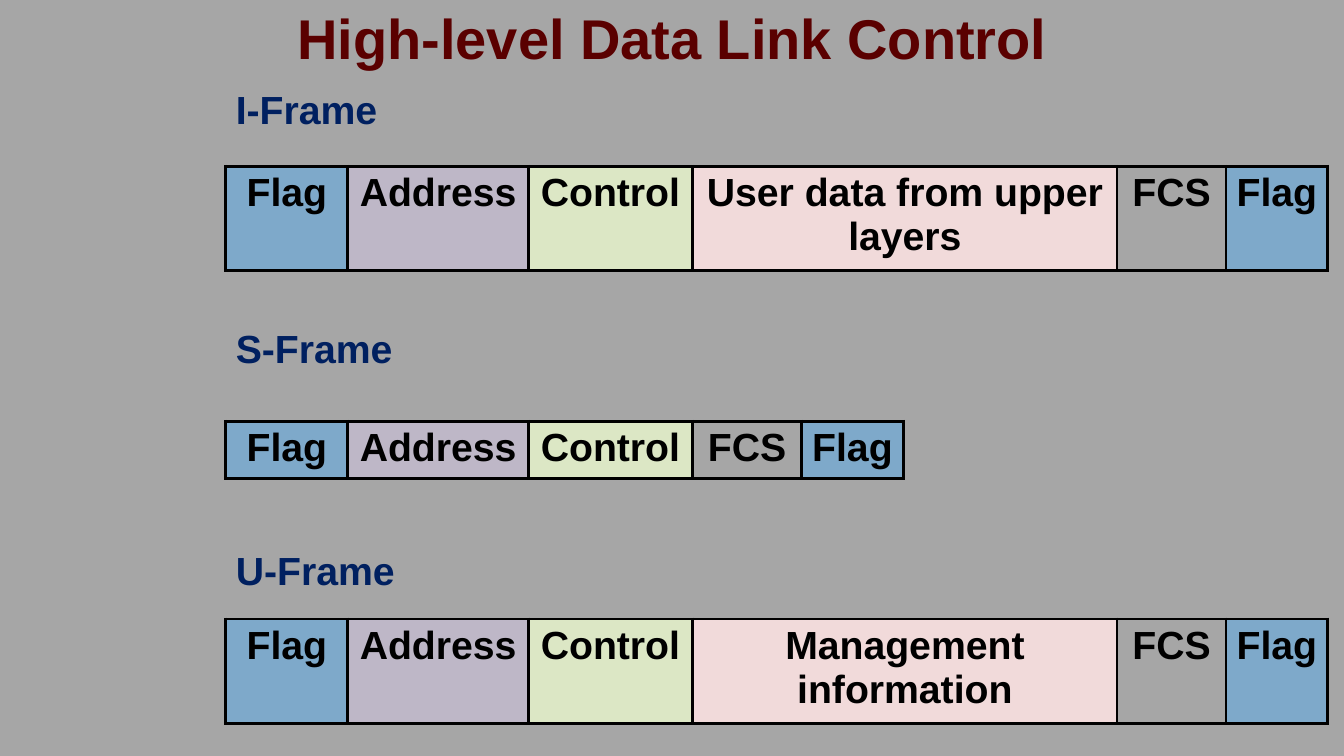
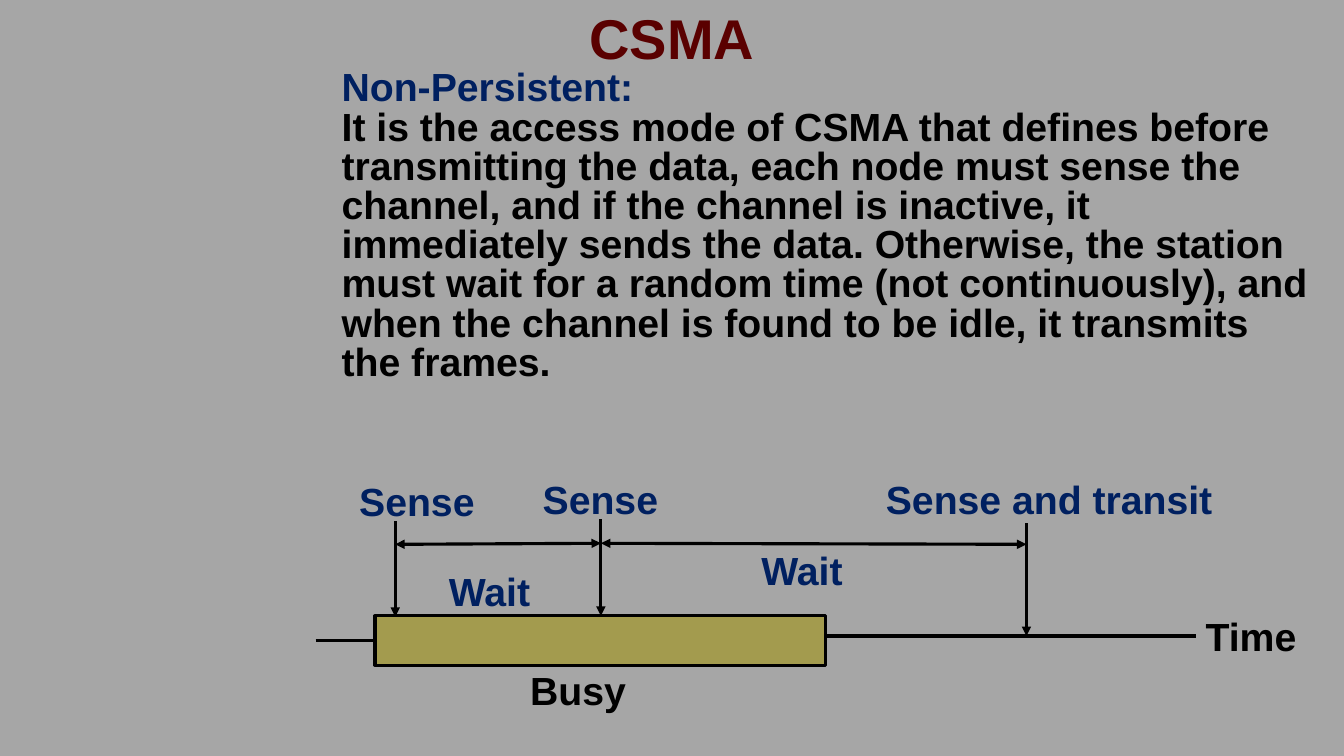
from pptx import Presentation
from pptx import util as u
from pptx.dml import color
from pptx.enum import shapes, text
from pptx.oxml import ns, xmlchemy
from lxml import etree

RGB = color.RGBColor
GREY = RGB(0xA6, 0xA6, 0xA6)
MAROON = RGB(0x5A, 0x00, 0x00)
NAVY = RGB(0x00, 0x20, 0x60)
BLACK = RGB(0x00, 0x00, 0x00)
BLUE = RGB(0x7E, 0xA9, 0xCA)
MAUVE = RGB(0xBE, 0xB7, 0xC7)
GREEN = RGB(0xDC, 0xE7, 0xC5)
PINK = RGB(0xF1, 0xDA, 0xDA)
OLIVE = RGB(0xA3, 0x9B, 0x4E)

FONT = "Arial"
SIZE = 28
STROKE = u.Pt(2.25)
WIDE, HIGH = 1333, 750
LEFT, MID = text.PP_ALIGN.LEFT, text.PP_ALIGN.CENTER

START = [("Flag", 121, BLUE), ("Address", 179, MAUVE), ("Control", 163, GREEN)]
END = [("FCS", 108, None), ("Flag", 101, BLUE)]
FRAMES = [
    ("I-Frame", 80, 165, 103, "User data from upper layers"),
    ("S-Frame", 317, 418, 57, None),
    ("U-Frame", 537, 614, 103, "Management information"),
]

DEFINE = (
    "It is the access mode of CSMA that defines before transmitting the data, "
    "each node must sense the channel, and if the channel is inactive, it "
    "immediately sends the data. Otherwise, the station must wait for a random "
    "time (not continuously), and when the channel is found to be idle, it "
    "transmits the frames."
)
LABELS = [
    ("Time", 1186, 603, 119, BLACK, LEFT),
    ("Busy", 516, 656, 119, BLACK, LEFT),
    ("Sense", 342, 469, 143, NAVY, MID),
    ("Sense", 524, 467, 143, NAVY, MID),
    ("Sense and transit", 857, 467, 367, NAVY, MID),
    ("Wait", 414, 558, 143, NAVY, MID),
    ("Wait", 724, 537, 143, NAVY, MID),
]
SENSES = [(392, 517, 612), (596, 515, 611), (1018, 519, 631)]
WAITS = [(392, 540, 596, 539), (596, 539, 1018, 540)]
AXES = [(819, 631, 1186, 631), (313, 635, 372, 635)]


def px(*sizes):
    return [u.Emu(size * 9144) for size in sizes]


def style(par, tint, size=SIZE, align=LEFT):
    par.alignment = align
    for run in par.runs:
        font = run.font
        font.name, font.size, font.bold = FONT, u.Pt(size), True
        font.color.rgb = tint


def add_page(deck, title):
    page = deck.slides.add_slide(deck.slide_layouts[5])
    head = page.shapes.title
    head.left, head.top, head.width, head.height = px(0, 4, WIDE, 74)
    frame = head.text_frame
    frame.text = title
    frame.margin_left = frame.margin_right = 0
    frame.margin_top = frame.margin_bottom = 0
    frame.vertical_anchor = text.MSO_ANCHOR.MIDDLE
    par = frame.paragraphs[0]
    par.line_spacing = 0.9
    style(par, MAROON, 40, MID)
    return page


def add_text(page, words, x, y, w, tint=NAVY, align=LEFT, h=57):
    box = page.shapes.add_textbox(*px(x, y, w, h))
    frame = box.text_frame
    frame.word_wrap = True
    frame.text = words
    for par in frame.paragraphs:
        style(par, tint, align=align)
    return frame


def add_edges(cell):
    props = cell._tc.get_or_add_tcPr()
    for spot, side in enumerate(("lnL", "lnR", "lnT", "lnB")):
        edge = etree.Element(ns.qn("a:" + side), w=str(int(STROKE)))
        fill = etree.SubElement(edge, ns.qn("a:solidFill"))
        etree.SubElement(fill, ns.qn("a:srgbClr"), val=str(BLACK))
        props.insert(spot, edge)


def add_frame(page, label, top, y, h, data):
    add_text(page, label, 224, top, 195)
    body = [(data, 421, PINK)] if data else []
    fields = START + body + END
    span = sum(w for _, w, _ in fields)
    grid = page.shapes.add_table(1, len(fields), *px(224, y, span, h)).table
    grid.first_row = grid.horz_banding = False
    for col, (name, w, tint) in enumerate(fields):
        grid.columns[col].width = px(w)[0]
        cell = grid.cell(0, col)
        cell.text = name
        style(cell.text_frame.paragraphs[0], BLACK, align=MID)
        if tint is None:
            cell.fill.background()
        else:
            cell.fill.solid()
            cell.fill.fore_color.rgb = tint
        add_edges(cell)


def add_line(page, ends, tips=()):
    link = page.shapes.add_connector(shapes.MSO_CONNECTOR.STRAIGHT, *px(*ends))
    link.line.width = STROKE
    link.line.color.rgb = BLACK
    props = link._element.spPr
    line = props.find(ns.qn("a:ln"))
    for tip in tips:
        etree.SubElement(line, ns.qn("a:" + tip), type="triangle")
    etree.SubElement(props, ns.qn("a:effectLst"))


def add_busy(page):
    bar = page.shapes.add_shape(
        shapes.MSO_SHAPE.RECTANGLE, *px(372, 611, 447, 49))
    bar.shadow.inherit = False
    bar.fill.solid()
    bar.fill.fore_color.rgb = OLIVE
    bar.line.color.rgb = BLACK
    bar.line.width = STROKE


def draw_hdlc(deck):
    page = add_page(deck, "High-level Data Link Control")
    for frame in FRAMES:
        add_frame(page, *frame)


def draw_csma(deck):
    page = add_page(deck, "CSMA")
    body = add_text(
        page, "Non-Persistent:\n" + DEFINE, 329, 65, 988, BLACK, h=324)
    for par in body.paragraphs:
        par.line_spacing = u.Pt(28)
    style(body.paragraphs[0], NAVY)
    add_busy(page)
    for x, top, base in SENSES:
        add_line(page, (x, top, x, base), ["tailEnd"])
    for ends in AXES:
        add_line(page, ends)
    for label in LABELS:
        add_text(page, *label)
    for ends in WAITS:
        add_line(page, ends, ["headEnd", "tailEnd"])


def main():
    deck = Presentation()
    deck.slide_width, deck.slide_height = px(WIDE, HIGH)
    back = deck.slide_master.background.fill
    back.solid()
    back.fore_color.rgb = GREY
    draw_hdlc(deck)
    draw_csma(deck)
    deck.save("out.pptx")


if __name__ == "__main__":
    main()
